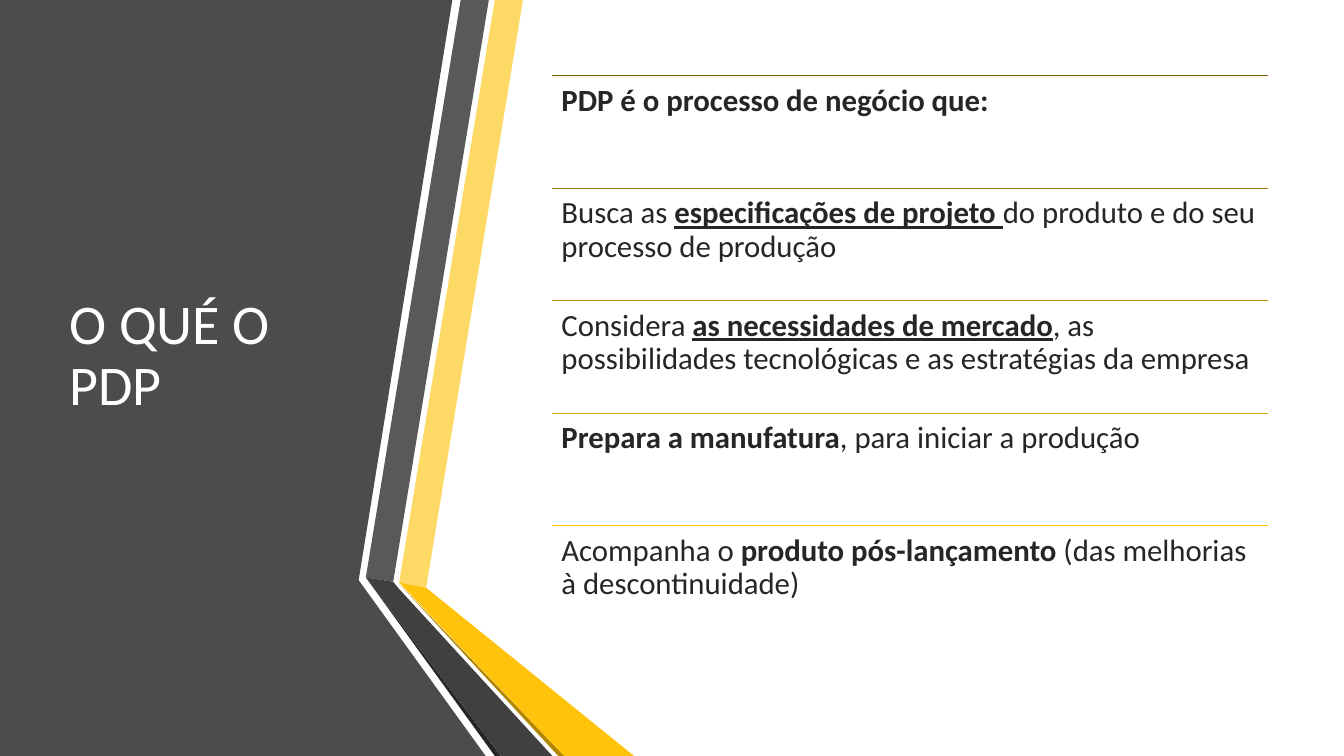
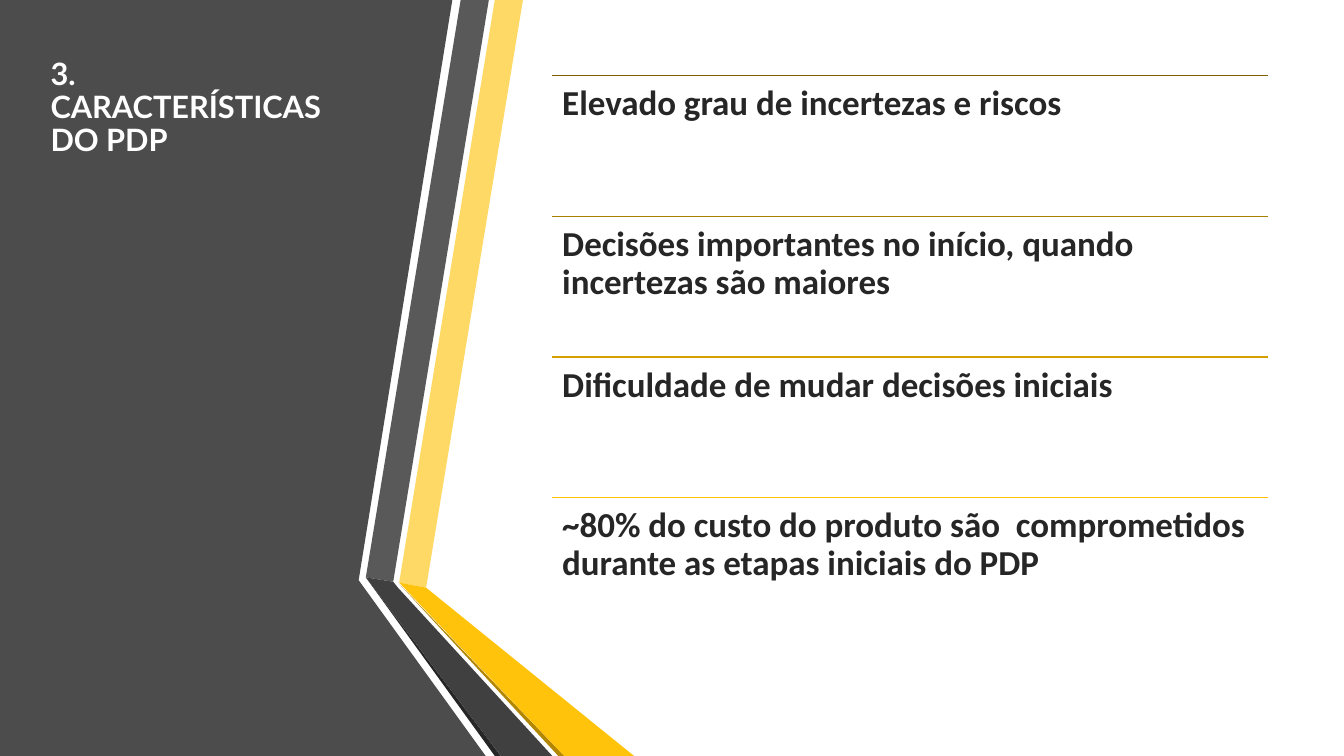
"""Build two slides on the product development process (PDP)."""
from lxml.etree import SubElement
from pptx import Presentation
from pptx.dml.color import RGBColor
from pptx.enum.shapes import MSO_CONNECTOR
from pptx.enum.text import MSO_ANCHOR, MSO_AUTO_SIZE, PP_ALIGN
from pptx.oxml.ns import qn
from pptx.util import Cm, Pt

COLOURS = {
    "panel": "4C4C4C",
    "pale gold": "FFD965",
    "grey": "595959",
    "black": "262626",
    "dark gold": "B28600",
    "gold": "FFC30C",
    "dark grey": "404040",
    "title": "FFFFFF",
    "text": "262626",
    "first rule": "7F6000",
    "last rule": "FFC000",
}
BOTTOM = 19.05
BANDS = [
    ("panel", [(0, 0), (11.4, 0), (9.04, 14.62), (12.24, BOTTOM), (0, BOTTOM)]),
    ("pale gold", [(10.06, 14.68), (10.74, 14.81), (13.18, 0), (12.47, 0)]),
    ("grey", [(12.32, 0), (11.61, 0), (9.22, 14.55), (9.91, 14.66)]),
    ("black", [(9.22, 14.55), (12.47, BOTTOM), (12.62, BOTTOM)]),
    ("dark gold", [(10.06, 14.71), (14.07, BOTTOM), (14.22, BOTTOM)]),
    ("gold", [(10.06, 14.68), (14.22, BOTTOM), (15.98, BOTTOM), (10.74, 14.81)]),
    ("dark grey", [(13.92, BOTTOM), (10.03, 14.81), (9.91, 14.66), (9.22, 14.55),
                   (12.62, BOTTOM)]),
]
LIST_LEFT, LIST_TOP, LIST_WIDTH, LIST_HEIGHT = 13.92, 1.91, 18.03, 14.17

PDP_STEPS = [
    [("PDP é o processo de negócio que:", "b")],
    [("Busca as ", ""), ("especificações de projeto ", "bu"),
     ("do produto e do seu processo de produção", "")],
    [("Considera ", ""), ("as necessidades de mercado", "bu"),
     (", as possibilidades tecnológicas e as estratégias da empresa", "")],
    [("Prepara a manufatura", "b"), (", para iniciar a produção", "")],
    [("Acompanha o ", ""), ("produto pós-lançamento ", "b"),
     ("(das melhorias à descontinuidade)", "")],
]
PDP_TRAITS = [
    [("Elevado grau de incertezas e riscos", "b")],
    [("Decisões importantes no início, quando incertezas são maiores", "b")],
    [("Dificuldade de mudar decisões iniciais", "b")],
    [("~80% do custo do produto são  comprometidos durante as etapas iniciais do PDP", "b")],
]


def colour(name):
    """Return the named colour."""
    return RGBColor.from_string(COLOURS[name])


def blend(start, end, share):
    """Return the colour at a share of the way between two named colours."""
    return RGBColor(*(round(a + (b - a) * share) for a, b in zip(colour(start), colour(end))))


class Deck:
    """Hold the style, the presentation and the current slide."""

    def __init__(self):
        """Start an empty widescreen presentation."""
        self.presentation = Presentation()
        self.presentation.slide_width = Cm(33.87)
        self.presentation.slide_height = Cm(BOTTOM)
        self.slide = None

    def add_slide(self):
        """Add a title-only slide with the shared bands."""
        self.slide = self.presentation.slides.add_slide(self.presentation.slide_layouts[5])
        for name, corners in BANDS:
            self.band(name, corners)

    def band(self, name, corners):
        """Draw one flat polygon."""
        start, *rest = [(Cm(x), Cm(y)) for x, y in corners]
        outline = self.slide.shapes.build_freeform(*start)
        outline.add_line_segments(rest, close=True)
        band = outline.convert_to_shape()
        band.fill.solid()
        band.fill.fore_color.rgb = colour(name)
        band.line.fill.background()
        band.shadow.inherit = False

    def style(self, paragraph, size, ink, font="Calibri"):
        """Format a paragraph."""
        paragraph.alignment = PP_ALIGN.LEFT
        paragraph.line_spacing = 0.9
        paragraph.font.name = font
        paragraph.font.size = Pt(size)
        paragraph.font.color.rgb = colour(ink)

    def title(self, wording, left, top, size, anchor, font="Calibri", bold=False):
        """Place the title over the dark panel."""
        title = self.slide.shapes.title
        title.element.getparent().append(title.element)
        title.left, title.top, title.width, title.height = map(Cm, (left, top, 7.72, 14.17))
        frame = title.text_frame
        frame.text = wording
        frame.word_wrap = True
        frame.auto_size = MSO_AUTO_SIZE.NONE
        frame.vertical_anchor = anchor
        heading = frame.paragraphs[0]
        self.style(heading, size, "title", font)
        heading.font.bold = bold

    def rule(self, top, ink):
        """Draw a thin line across the list."""
        rule = self.slide.shapes.add_connector(
            MSO_CONNECTOR.STRAIGHT, Cm(LIST_LEFT), Cm(top), Cm(LIST_LEFT + LIST_WIDTH), Cm(top))
        rule.line.color.rgb = ink
        rule.line.width = Pt(1)
        SubElement(rule.element.spPr, qn("a:effectLst"))

    def entry(self, runs, top, height, size, inset):
        """Write one list entry."""
        frame = self.slide.shapes.add_textbox(
            Cm(LIST_LEFT), Cm(top), Cm(LIST_WIDTH), Cm(height)).text_frame
        frame.word_wrap = True
        frame.margin_left = frame.margin_right = Cm(inset)
        frame.margin_top = frame.margin_bottom = Cm(inset)
        paragraph = frame.paragraphs[0]
        self.style(paragraph, size, "text")
        for wording, marks in runs:
            run = paragraph.add_run()
            run.text = wording
            run.font.bold = "b" in marks
            run.font.underline = "u" in marks

    def ruled_list(self, entries, size, inset):
        """Share the list area equally among ruled entries."""
        height = LIST_HEIGHT / len(entries)
        for index, runs in enumerate(entries):
            top = LIST_TOP + index * height
            self.rule(top, blend("first rule", "last rule", index / (len(entries) - 1)))
            self.entry(runs, top, height, size, inset)


def main():
    """Build and save the slides."""
    deck = Deck()
    deck.add_slide()
    deck.title("O QUÉ O PDP", 1.5, 1.91, 40, MSO_ANCHOR.MIDDLE)
    deck.ruled_list(PDP_STEPS, 22, 0.23)
    deck.add_slide()
    deck.title("3. CARACTERÍSTICAS DO PDP", 1.02, 1.35, 22, MSO_ANCHOR.TOP, "Lato", True)
    deck.ruled_list(PDP_TRAITS, 25, 0.25)
    deck.presentation.save("out.pptx")


if __name__ == "__main__":
    main()
